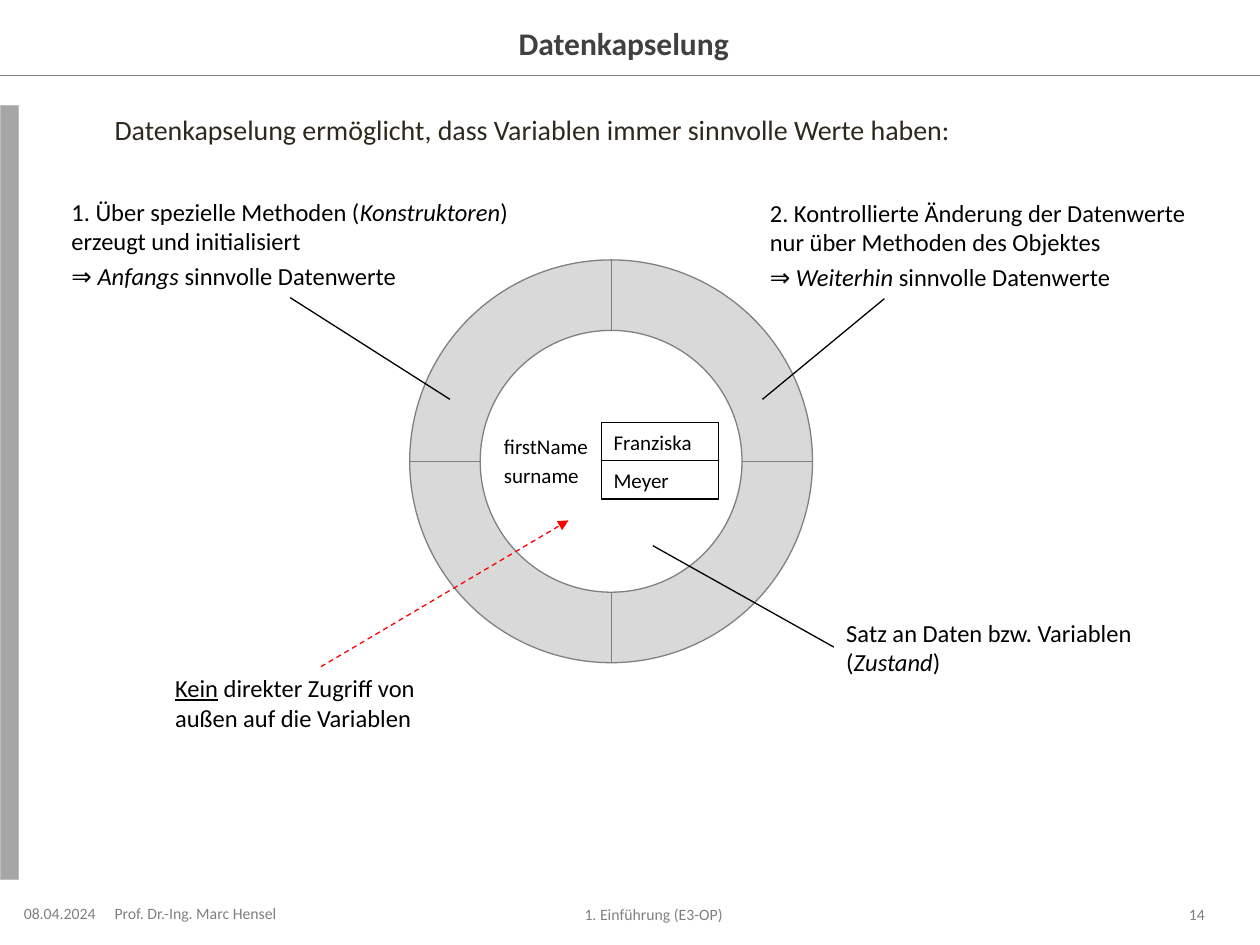
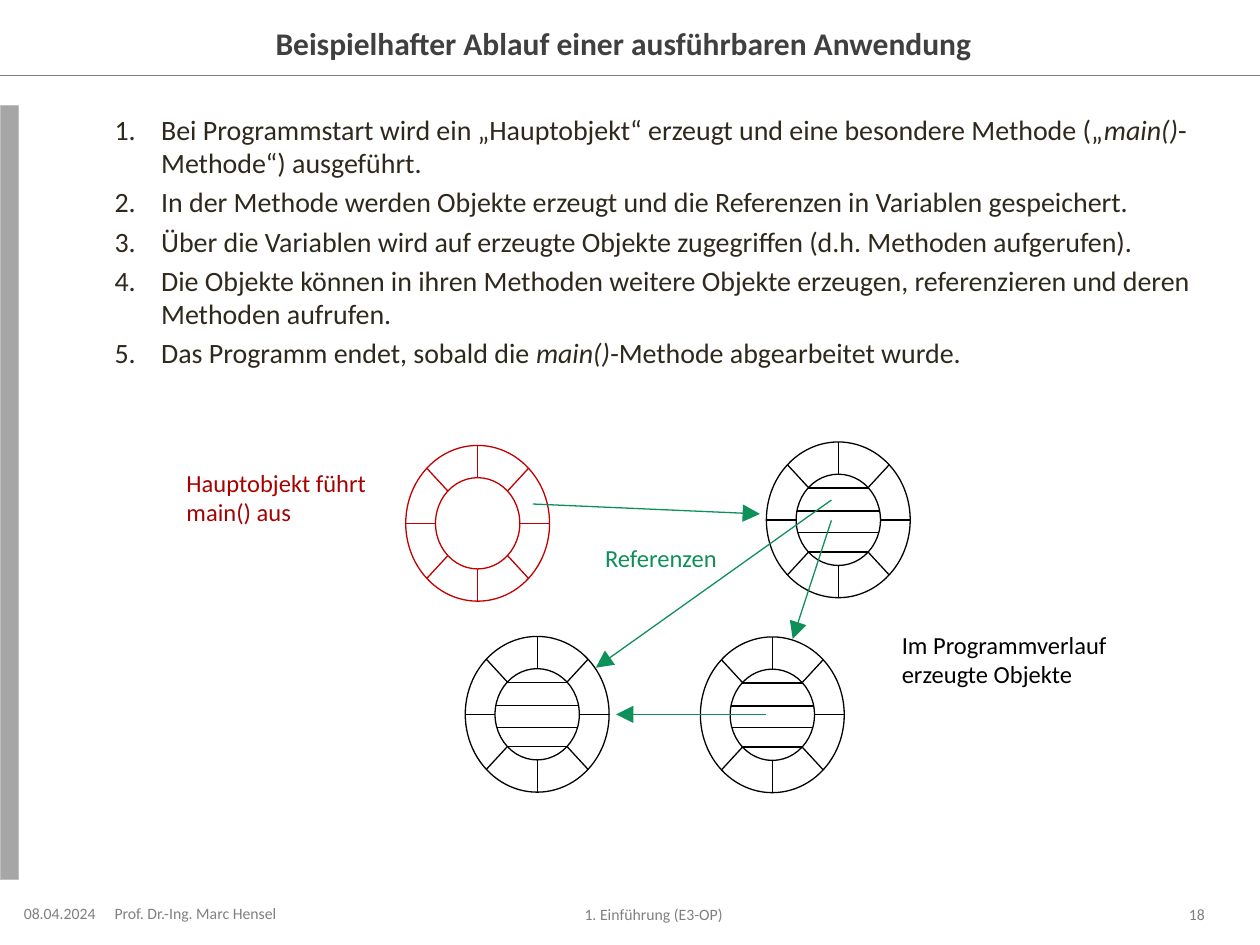
import math
import pptx
import pptx.util
import pptx.dml.color
import pptx.enum.dml
import pptx.enum.shapes
import pptx.enum.text
import pptx.oxml.ns
import lxml.etree

Cm = pptx.util.Cm
Pt = pptx.util.Pt
rgb = pptx.dml.color.RGBColor.from_string
qn = pptx.oxml.ns.qn
kind = pptx.enum.shapes.MSO_SHAPE
align = pptx.enum.text.PP_ALIGN
anchor = pptx.enum.text.MSO_ANCHOR

hues = {
    "black": "000000", "white": "FFFFFF", "body": "2F291D", "title": "404040",
    "gray": "808080", "band": "A6A6A6", "edge": "BFBFBF", "ring": "D9D9D9",
    "alert": "FF0000", "main": "C00000", "label": "A50303", "green": "0E905A",
}
flush = (0, 0.13, 0.25, 0.13)
inset = (0.25, 0.13, 0.25, 0.13)


def write(shape, text, size=14, hue="black", side=align.LEFT, pad=inset, hold=anchor.TOP, bold=False):
    frame = shape.text_frame
    frame.text = text
    frame.word_wrap = True
    frame.vertical_anchor = hold
    frame.margin_left, frame.margin_top, frame.margin_right, frame.margin_bottom = map(Cm, pad)
    for row, para in enumerate(frame.paragraphs):
        parts = para.text.split("*")
        para.text = parts[0]
        for part in parts[1:]:
            para.add_run().text = part
        para.alignment = side
        if row:
            para.space_before = Pt(size * 0.2)
        for spot, run in enumerate(para.runs):
            run.font.name = "Calibri"
            run.font.size = Pt(size)
            run.font.bold = bold
            run.font.italic = spot % 2 == 1
            run.font.color.rgb = rgb(hues[hue])
    return shape


def link(slide, ends, hue="black", head=None):
    line = slide.shapes.add_connector(pptx.enum.shapes.MSO_CONNECTOR.STRAIGHT, *map(Cm, ends))
    line.line.color.rgb = rgb(hues[hue])
    line.line.width = Pt(0.75)
    lxml.etree.SubElement(line._element.spPr, qn("a:effectLst"))
    if head:
        lxml.etree.SubElement(line.line._get_or_add_ln(), qn("a:tailEnd"), type="triangle", w=head, len=head)
    return line


deck = pptx.Presentation()
deck.slide_width = Cm(25.4)
deck.slide_height = Cm(19.05)

pages = []
for title, number, body in [
    ("Datenkapselung", "14",
     "Datenkapselung ermöglicht, dass Variablen immer sinnvolle Werte haben:"),
    ("Beispielhafter Ablauf einer ausführbaren Anwendung", "18",
     "Bei Programmstart wird ein „Hauptobjekt“ erzeugt und eine besondere Methode („*main()*-Methode“) ausgeführt.\n"
     "In der Methode werden Objekte erzeugt und die Referenzen in Variablen gespeichert.\n"
     "Über die Variablen wird auf erzeugte Objekte zugegriffen (d.h. Methoden aufgerufen).\n"
     "Die Objekte können in ihren Methoden weitere Objekte erzeugen, referenzieren und deren Methoden aufrufen.\n"
     "Das Programm endet, sobald die *main()*-Methode abgearbeitet wurde."),
]:
    slide = deck.slides.add_slide(deck.slide_layouts[6])
    link(slide, (0, 1.52, 25.4, 1.52), "gray")
    band = slide.shapes.add_shape(kind.RECTANGLE, Cm(0), Cm(2.13), Cm(0.38), Cm(15.6))
    band.shadow.inherit = False
    band.fill.solid()
    band.fill.fore_color.rgb = rgb(hues["band"])
    band.line.color.rgb = rgb(hues["edge"])
    band.line.width = Pt(0.75)
    box = slide.shapes.add_textbox(Cm(3.15), Cm(0.38), Cm(19.1), Cm(0.99))
    write(box, title, 18, "title", align.CENTER, flush, anchor.MIDDLE, True)
    box = slide.shapes.add_textbox(Cm(2.31), Cm(2.13), Cm(22), Cm(15.6))
    main = write(box, body, 16, "body", pad=flush)
    for place, text, side, pad in [
        ((0.38, 18.21, 1.9, 0.41), "08.04.2024", align.CENTER, flush),
        ((2.31, 18.21, 3.81, 0.38), "Prof. Dr.-Ing. Marc Hensel", align.LEFT, flush),
        ((6.3, 18.24, 14, 0.38), "1. Einführung (E3-OP)", align.CENTER, flush),
        ((22.66, 18.24, 1.63, 0.38), number, align.RIGHT, (0.25, 0.13, 0, 0.13)),
    ]:
        box = slide.shapes.add_textbox(*map(Cm, place))
        write(box, text, 9, "gray", side, pad, anchor.MIDDLE)
    pages.append((slide, main))

slide = pages[0][0]
midx, midy, outer, inner = 12.32, 9.3, 4.06, 2.64
ring = slide.shapes.add_shape(kind.DONUT, Cm(midx - outer), Cm(midy - outer), Cm(2 * outer), Cm(2 * outer))
ring.adjustments[0] = 0.175
ring.shadow.inherit = False
ring.fill.solid()
ring.fill.fore_color.rgb = rgb(hues["ring"])
ring.line.color.rgb = rgb(hues["gray"])
ring.line.width = Pt(0.75)
for dx, dy in [(0, -1), (1, 0), (0, 1), (-1, 0)]:
    link(slide, (midx + outer * dx, midy + outer * dy, midx + inner * dx, midy + inner * dy), "gray")

notes = []
for place, text, size in [
    ((1.19, 3.84, 9.32, 2.16),
     "1. Über spezielle Methoden (*Konstruktoren*) erzeugt und initialisiert\n⇒ *Anfangs* sinnvolle Datenwerte", 14),
    ((15.27, 3.86, 9.32, 2.16),
     "2. Kontrollierte Änderung der Datenwerte nur über Methoden des Objektes\n"
     "⇒ *Weiterhin* sinnvolle Datenwerte", 14),
    ((16.81, 12.32, 6.68, 1.45), "Satz an Daten bzw. Variablen (*Zustand*)", 14),
    ((3.28, 13.44, 6.38, 1.45), "Kein* direkter Zugriff von außen auf die Variablen", 14),
    ((9.91, 8.61, 2.36, 1.4), "firstName\nsurname", 12),
]:
    box = slide.shapes.add_textbox(*map(Cm, place))
    notes.append(write(box, text, size))
start, change, state, deny, names = notes
first, rest = deny.text_frame.paragraphs[0].runs
first.font.underline = True
rest.font.italic = False

link(slide, (5.85, 6, 9.07, 8.05)).begin_connect(start, 2)
link(slide, (17.83, 6.02, 15.37, 8.05))
link(slide, (13.16, 11, 16.81, 13.05)).end_connect(state, 1)
arrow = link(slide, (6.47, 13.44, 11.46, 10.49), "alert", "med")
arrow.begin_connect(deny, 0)
arrow.line.dash_style = pptx.enum.dml.MSO_LINE.DASH

for row, value in enumerate(["Franziska", "Meyer"]):
    cell = slide.shapes.add_shape(kind.RECTANGLE, Cm(12.12), Cm(8.52 + 0.77 * row), Cm(2.36), Cm(0.77))
    cell.shadow.inherit = False
    cell.fill.solid()
    cell.fill.fore_color.rgb = rgb(hues["white"])
    cell.line.color.rgb = rgb(hues["black"])
    cell.line.width = Pt(0.75)
    write(cell, value, 12)

slide, main = pages[1]
for para in main.text_frame.paragraphs:
    props = para._p.get_or_add_pPr()
    props.set("marL", str(Cm(0.94)))
    props.set("indent", str(-Cm(0.94)))
    lxml.etree.SubElement(props, qn("a:buFont"), typeface="+mj-lt")
    lxml.etree.SubElement(props, qn("a:buAutoNum"), type="arabicPeriod")

wide, high = 1.45, 1.57
slim, low = 0.85, 0.92
for midx, midy, hue, shelves in [
    (9.63, 10.55, "main", []),
    (15.57, 14.41, "black", [-0.64, -0.18, 0.26, 0.65]),
    (10.83, 14.4, "black", [-0.64, -0.18, 0.26, 0.65]),
    (16.9, 10.48, "black", [-0.64, -0.18, 0.26, 0.65]),
]:
    for rx, ry in [(wide, high), (slim, low)]:
        oval = slide.shapes.add_shape(kind.OVAL, Cm(midx - rx), Cm(midy - ry), Cm(2 * rx), Cm(2 * ry))
        oval.shadow.inherit = False
        oval.fill.background()
        oval.line.color.rgb = rgb(hues[hue])
        oval.line.width = Pt(0.75)
    for shelf in shelves:
        half = slim * math.sqrt(1 - (shelf / low) ** 2)
        link(slide, (midx - half, midy + shelf, midx + half, midy + shelf), hue)
    for step in range(8):
        dx, dy = math.cos(step * math.pi / 4), math.sin(step * math.pi / 4)
        link(slide, (midx + wide * dx, midy + high * dy, midx + slim * dx, midy + low * dy), hue)

for ends in [
    (16.76, 10.49, 15.98, 12.88),
    (10.74, 10.16, 15.32, 10.36),
    (16.76, 10.08, 12.01, 13.46),
    (15.44, 14.4, 12.42, 14.4),
]:
    link(slide, ends, "green", "lg")

for place, text, hue, side in [
    ((3.51, 9.3, 5.13, 1.45), "Hauptobjekt führt main() aus", "label", align.LEFT),
    ((17.93, 12.57, 5.13, 1.45), "Im Programmverlauf erzeugte Objekte", "black", align.LEFT),
    ((11.89, 10.82, 2.87, 0.86), "Referenzen", "green", align.CENTER),
]:
    box = slide.shapes.add_textbox(*map(Cm, place))
    write(box, text, 14, hue, side)

deck.save("out.pptx")
